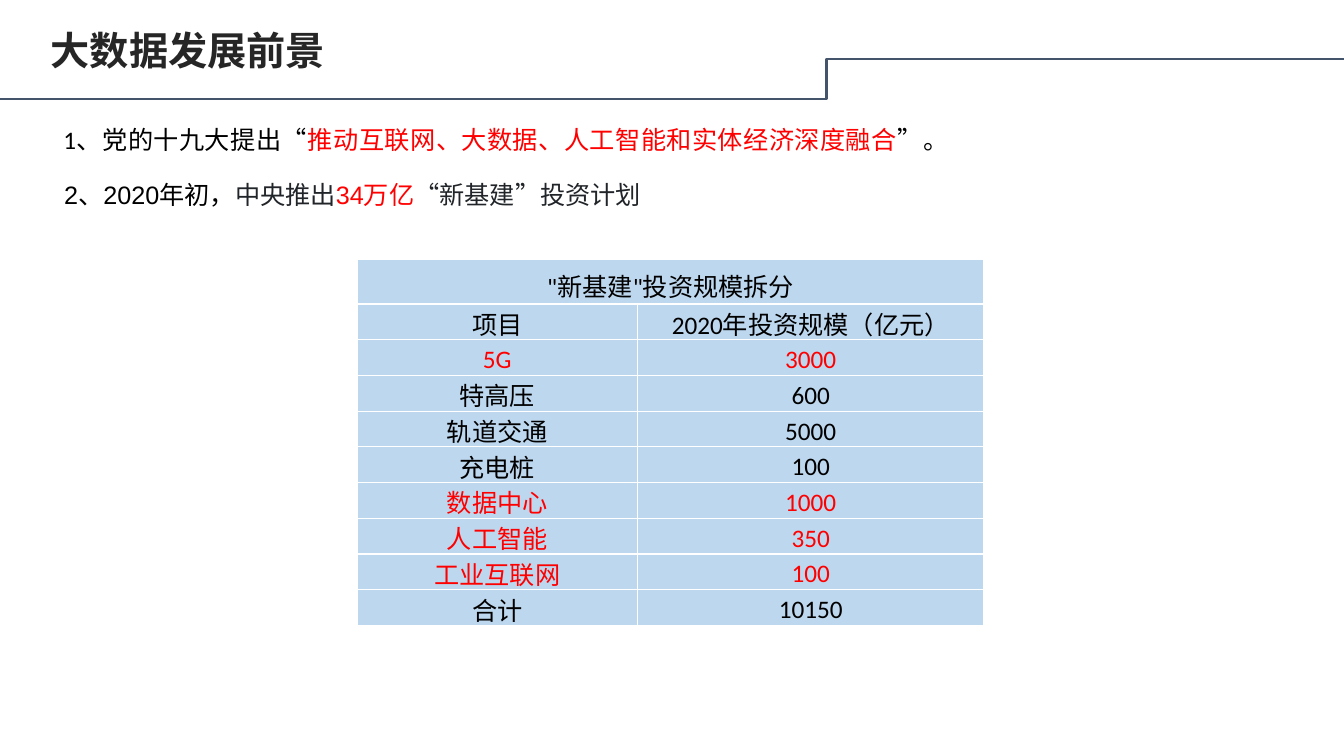
from dataclasses import dataclass
from typing import Optional

import pptx
import pptx.dml.color
import pptx.enum.shapes
import pptx.enum.text
import pptx.oxml
import pptx.oxml.ns
import pptx.util

Cm = pptx.util.Cm
Pt = pptx.util.Pt
RGBColor = pptx.dml.color.RGBColor
Align = pptx.enum.text.PP_ALIGN
Anchor = pptx.enum.text.MSO_ANCHOR
qn = pptx.oxml.ns.qn

BLACK = RGBColor(0x00, 0x00, 0x00)
DARK = RGBColor(0x26, 0x26, 0x26)
GREY = RGBColor(0x21, 0x25, 0x29)
RED = RGBColor(0xFF, 0x00, 0x00)
NAVY = RGBColor(0x44, 0x54, 0x6A)
PALE_BLUE = RGBColor(0xBD, 0xD7, 0xEE)
NS = 'xmlns:a="http://schemas.openxmlformats.org/drawingml/2006/main"'


@dataclass
class Phrase:
    text: str
    color: RGBColor


@dataclass
class TextLine:
    left: float
    top: float
    width: float
    height: float
    phrases: list[Phrase]
    font: str
    size: int = 18
    bold: bool = False
    spacing: float = 1.5
    margin: float = 0
    indent: float = 0
    align: Align = Align.LEFT
    anchor: Anchor = Anchor.TOP
    east_asian: Optional[str] = None


@dataclass
class Item:
    name: str
    amount: str
    color: RGBColor = BLACK


TEXTS = [
    TextLine(0.53, 0.69, 10.97, 1.3, [Phrase("大数据发展前景", DARK)], "Noto Sans CJK SC",
             size=28, bold=True, spacing=0.9, margin=0.5, anchor=Anchor.MIDDLE,
             east_asian="Noto Sans CJK SC"),
    TextLine(0.51, 2.62, 23.01, 1.27,
             [Phrase("1、党的十九大提出“", BLACK),
              Phrase("推动互联网、大数据、人工智能和实体经济深度融合", RED),
              Phrase("”。", BLACK)],
             "Calibri", indent=0.84, align=Align.JUSTIFY),
    TextLine(1.37, 4.01, 15.52, 1.27,
             [Phrase("2、2020年初，", BLACK), Phrase("中央推出", GREY),
              Phrase("34万亿", RED), Phrase("“新基建”投资计划", GREY)],
             "Arial"),
]

TABLE_TITLE = '"新基建"投资规模拆分'
ITEMS = [
    Item("项目", "2020年投资规模（亿元）"),
    Item("5G", "3000", RED),
    Item("特高压", "600"),
    Item("轨道交通", "5000"),
    Item("充电桩", "100"),
    Item("数据中心", "1000", RED),
    Item("人工智能", "350", RED),
    Item("工业互联网", "100", RED),
    Item("合计", "10150"),
]
COL_WIDTHS = (7.06, 8.74)
TITLE_ROW, ITEM_ROW = 1.12, 0.9


def add_header_line(s) -> None:
    sp = s.shapes.add_connector(pptx.enum.shapes.MSO_CONNECTOR.ELBOW,
                                Cm(0), Cm(2.49), Cm(33.87), Cm(1.5))
    sp.line.color.rgb = NAVY
    sp.line.width = Pt(1.5)
    props = sp._element.spPr
    # Step position along the line
    guides = props.find(qn("a:prstGeom")).get_or_add_avLst()
    guides.append(pptx.oxml.parse_xml(f'<a:gd {NS} name="adj1" fmla="val 61500"/>'))
    props.append(pptx.oxml.parse_xml(f"<a:effectLst {NS}/>"))


def add_text(s, line: TextLine) -> None:
    sp = s.shapes.add_textbox(Cm(line.left), Cm(line.top), Cm(line.width), Cm(line.height))
    tf = sp.text_frame
    tf.word_wrap = True
    tf.vertical_anchor = line.anchor
    p = tf.paragraphs[0]
    p.alignment = line.align
    p.line_spacing = line.spacing
    ppr = p._p.get_or_add_pPr()
    ppr.set("marL", str(Cm(line.margin)))
    ppr.set("indent", str(Cm(line.indent)))
    for phrase in line.phrases:
        r = p.add_run()
        r.text = phrase.text
        r.font.name = line.font
        r.font.size = Pt(line.size)
        r.font.bold = line.bold
        r.font.color.rgb = phrase.color
        if line.east_asian:
            r._r.get_or_add_rPr().append(
                pptx.oxml.parse_xml(f'<a:ea {NS} typeface="{line.east_asian}"/>'))


def style_cell(cell, text: str, color: RGBColor) -> None:
    cell.fill.solid()
    cell.fill.fore_color.rgb = PALE_BLUE
    cell.vertical_anchor = Anchor.BOTTOM
    cell.margin_left = cell.margin_right = cell.margin_top = Cm(0.03)
    cell.margin_bottom = Cm(0)
    cell.text_frame.text = text
    p = cell.text_frame.paragraphs[0]
    p.alignment = Align.CENTER
    for r in p.runs:
        r.font.name = "Calibri"
        r.font.size = Pt(18)
        r.font.bold = False
        r.font.color.rgb = color
    # White borders come before the fill in the cell properties
    tcpr = cell._tc.get_or_add_tcPr()
    for i, side in enumerate(("lnL", "lnR", "lnT", "lnB")):
        tcpr.insert(i, pptx.oxml.parse_xml(
            f'<a:{side} {NS} w="12700"><a:solidFill><a:srgbClr val="FFFFFF"/>'
            f"</a:solidFill></a:{side}>"))


def add_investment_table(s) -> None:
    height = TITLE_ROW + ITEM_ROW * len(ITEMS)
    table = s.shapes.add_table(len(ITEMS) + 1, 2, Cm(9), Cm(6.54),
                               Cm(sum(COL_WIDTHS)), Cm(height)).table
    table.first_row = False
    table.horz_banding = False
    for col, width in zip(table.columns, COL_WIDTHS):
        col.width = Cm(width)
    for i, row in enumerate(table.rows):
        row.height = Cm(ITEM_ROW if i else TITLE_ROW)
    table.cell(0, 0).merge(table.cell(0, 1))
    style_cell(table.cell(0, 0), TABLE_TITLE, BLACK)
    style_cell(table.cell(0, 1), "", BLACK)
    for i, item in enumerate(ITEMS, start=1):
        for j, text in enumerate((item.name, item.amount)):
            style_cell(table.cell(i, j), text, item.color)


def main() -> None:
    prs = pptx.Presentation()
    prs.slide_width, prs.slide_height = Cm(33.87), Cm(19.05)
    s = prs.slides.add_slide(prs.slide_layouts[6])
    add_header_line(s)
    for line in TEXTS:
        add_text(s, line)
    add_investment_table(s)
    prs.save("out.pptx")


if __name__ == "__main__":
    main()
